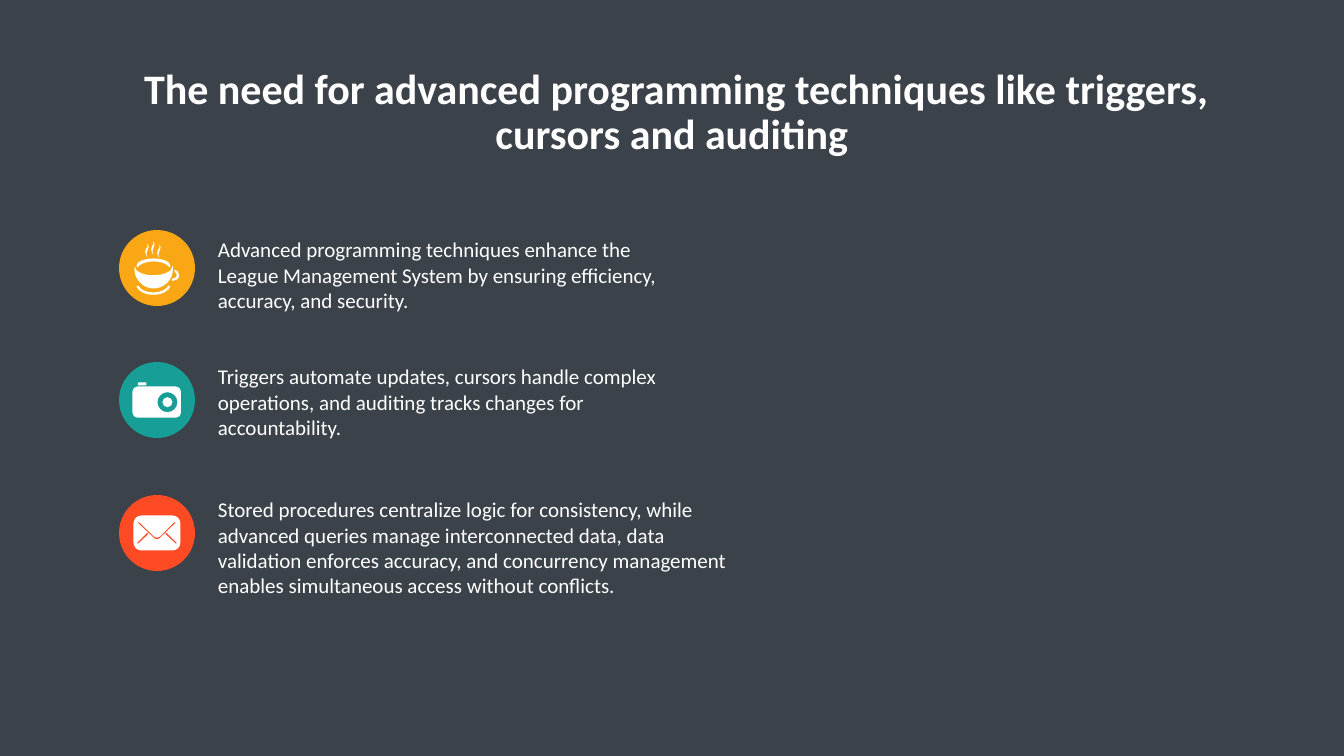
from pptx import Presentation
from pptx.dml.color import RGBColor
from pptx.enum.shapes import MSO_SHAPE
from pptx.enum.text import MSO_ANCHOR, PP_ALIGN
from pptx.oxml.ns import qn
from pptx.util import Pt

ELLIPSE = MSO_SHAPE.OVAL
CENTER, LEFT = PP_ALIGN.CENTER, PP_ALIGN.LEFT
TOP, MIDDLE = MSO_ANCHOR.TOP, MSO_ANCHOR.MIDDLE

SLIDE_W, SLIDE_H = 1344, 756
EMU_PER_PX = 12192000 / SLIDE_W
ICON_UNITS_PER_PX = 10
ROUNDING = 0.45
FONT = "Calibri"
COLORS = {
    "background": "3B424A",
    "white": "FFFFFF",
    "amber": "F9A715",
    "teal": "179E97",
    "orange": "FE4B24",
}
BADGE_LEFT, BADGE_SIZE = 119, 76
BODY_LEFT = 208


def px(length):
    return round(length * EMU_PER_PX)


def paint(fill, color):
    fill.solid()
    fill.fore_color.rgb = RGBColor.from_string(COLORS[color])


def write(frame, text, size, bold=False, align=LEFT, anchor=TOP, spacing=1.0):
    frame.word_wrap = True
    frame.vertical_anchor = anchor
    paragraph = frame.paragraphs[0]
    paragraph.alignment = align
    paragraph.line_spacing = spacing
    run = paragraph.add_run()
    run.text = text
    run.font.name = FONT
    run.font.size = Pt(size)
    run.font.bold = bold
    run.font.color.rgb = RGBColor.from_string(COLORS["white"])


def outline(start, *segments):
    """A contour; a segment of one point is a line, of three a cubic curve."""
    return start, segments


def polygon(points):
    return outline(points[0], *([point] for point in points[1:]))


def rounded_box(left, top, width, height, radius):
    right, bottom = left + width, top + height
    handle = radius * ROUNDING
    segments = []
    for x, y, dx, dy in ((right, top, 1, 0), (right, bottom, 0, 1),
                         (left, bottom, -1, 0), (left, top, 0, -1)):
        entry = (x - dx * radius, y - dy * radius)
        leave = (x - dy * radius, y + dx * radius)
        if segments and segments[-1][-1] != entry:
            segments.append([entry])
        segments.append([(x - dx * handle, y - dy * handle),
                         (x - dy * handle, y + dx * handle), leave])
    return outline((right - radius, top), *segments)


def circle(cx, cy, radius):
    return rounded_box(cx - radius, cy - radius, 2 * radius, 2 * radius, radius)


def cup_icon():
    saucer = outline(
        (-185, 175), [(-175, 215), (-105, 245), (-35, 245)],
        [(35, 245), (95, 215), (115, 175)], [(135, 185)],
        [(115, 235), (45, 268), (-35, 268)],
        [(-115, 268), (-185, 235), (-205, 185)])
    handle = outline(
        (175, 15), [(205, 25), (222, 45), (222, 72)],
        [(222, 105), (195, 128), (165, 128)], [(145, 125)], [(155, 105)],
        [(165, 105)], [(180, 105), (198, 88), (198, 72)],
        [(198, 55), (190, 45), (178, 42)])
    bowl = outline(
        (158, -25), [(160, 15)], [(160, 115), (75, 205), (-35, 205)],
        [(-135, 205), (-225, 115), (-225, 15)], [(-223, -18)],
        [(-223, 35), (-135, 73), (-35, 73)],
        [(65, 73), (155, 35), (155, -18)])
    rim = outline(
        (-35, -95), [(55, -95), (135, -65), (135, -20)], [(125, -5)],
        [(105, -40), (45, -65), (-35, -65)],
        [(-105, -65), (-175, -40), (-195, -5)], [(-205, -20)],
        [(-205, -65), (-125, -95), (-35, -95)])
    steam = [
        outline((x, y), [(x + 40, y + 50), (x - 30, y + 60), (x, y + 140)],
                [(x - 60, y + 40), (x + 20, y + 60), (x, y)])
        for x, y in ((25, -235), (-95, -245), (-35, -270))]
    return [saucer, handle, bowl, rim, *steam]


def camera_icon():
    lens = (105, 22)
    return [circle(*lens, 50), circle(*lens, 100),
            rounded_box(-245, -135, 485, 312, 50),
            rounded_box(-190, -175, 85, 30, 5)]


def envelope_icon():
    flap = outline(
        (-195, -105), [(-35, 45)], [(-15, 70), (15, 70), (35, 45)],
        [(190, -105)], [(170, -105)], [(30, 35)],
        [(10, 53), (-10, 53), (-30, 35)], [(-175, -105)])
    left_fold = [(-95, -5), (-205, 105), (-185, 105), (-82, 8)]
    right_fold = [(-x, y) for x, y in left_fold]
    return [polygon(right_fold), polygon(left_fold), flap,
            rounded_box(-235, -175, 470, 350, 80)]


def bend(icon, contours):
    """Join each three lines that stand for a curve into one cubic curve."""
    lines = iter(list(icon.element.iter(qn("a:lnTo"))))
    for _, segments in contours:
        for segment in segments:
            first, *others = [next(lines) for _ in segment]
            for other in others:
                first.append(other[0])
                other.getparent().remove(other)
            if others:
                first.tag = qn("a:cubicBezTo")


def add_icon(slide, center_x, center_y, contours):
    builder = slide.shapes.build_freeform(
        *contours[0][0], scale=EMU_PER_PX / ICON_UNITS_PER_PX)
    for index, (start, segments) in enumerate(contours):
        if index:
            builder.move_to(*start)
        points = [point for segment in segments for point in segment]
        builder.add_line_segments(points, close=True)
    icon = builder.convert_to_shape(px(center_x), px(center_y))
    bend(icon, contours)
    return icon


def add_badge(slide, top, color, contours):
    badge = slide.shapes.add_shape(
        ELLIPSE, px(BADGE_LEFT), px(top), px(BADGE_SIZE), px(BADGE_SIZE))
    half = BADGE_SIZE // 2
    icon = add_icon(slide, BADGE_LEFT + half, top + half, contours)
    for shape, fill_color in ((badge, color), (icon, "white")):
        paint(shape.fill, fill_color)
        shape.line.fill.background()
        shape.shadow.inherit = False


def add_body(slide, text, top, width, height):
    box = slide.shapes.add_textbox(
        px(BODY_LEFT), px(top), px(width), px(height))
    write(box.text_frame, text, size=15)


def add_title(slide, text):
    title = slide.shapes.title
    title.left, title.top = px(92), px(40)
    title.width, title.height = px(1160), px(147)
    write(title.text_frame, text, size=30, bold=True, align=CENTER,
          anchor=MIDDLE, spacing=0.9)


def main():
    deck = Presentation()
    deck.slide_width, deck.slide_height = px(SLIDE_W), px(SLIDE_H)
    slide = deck.slides.add_slide(deck.slide_layouts[5])
    paint(slide.background.fill, "background")
    add_title(slide, " The need for advanced programming techniques like "
                     "triggers, cursors and auditing")

    points = (
        (230, "amber", cup_icon(), 232, 464, 87,
         "Advanced programming techniques enhance the League Management "
         "System by ensuring efficiency, accuracy, and security."),
        (362, "teal", camera_icon(), 359, 482, 87,
         "Triggers automate updates, cursors handle complex operations, "
         "and auditing tracks changes for accountability."),
        (495, "orange", envelope_icon(), 492, 539, 112,
         "Stored procedures centralize logic for consistency, while advanced "
         "queries manage interconnected data, data validation enforces "
         "accuracy, and concurrency management enables simultaneous access "
         "without conflicts."),
    )
    for badge_top, color, icon, body_top, width, height, text in points:
        add_badge(slide, badge_top, color, icon)
        add_body(slide, text, body_top, width, height)

    deck.save("out.pptx")


if __name__ == "__main__":
    main()
